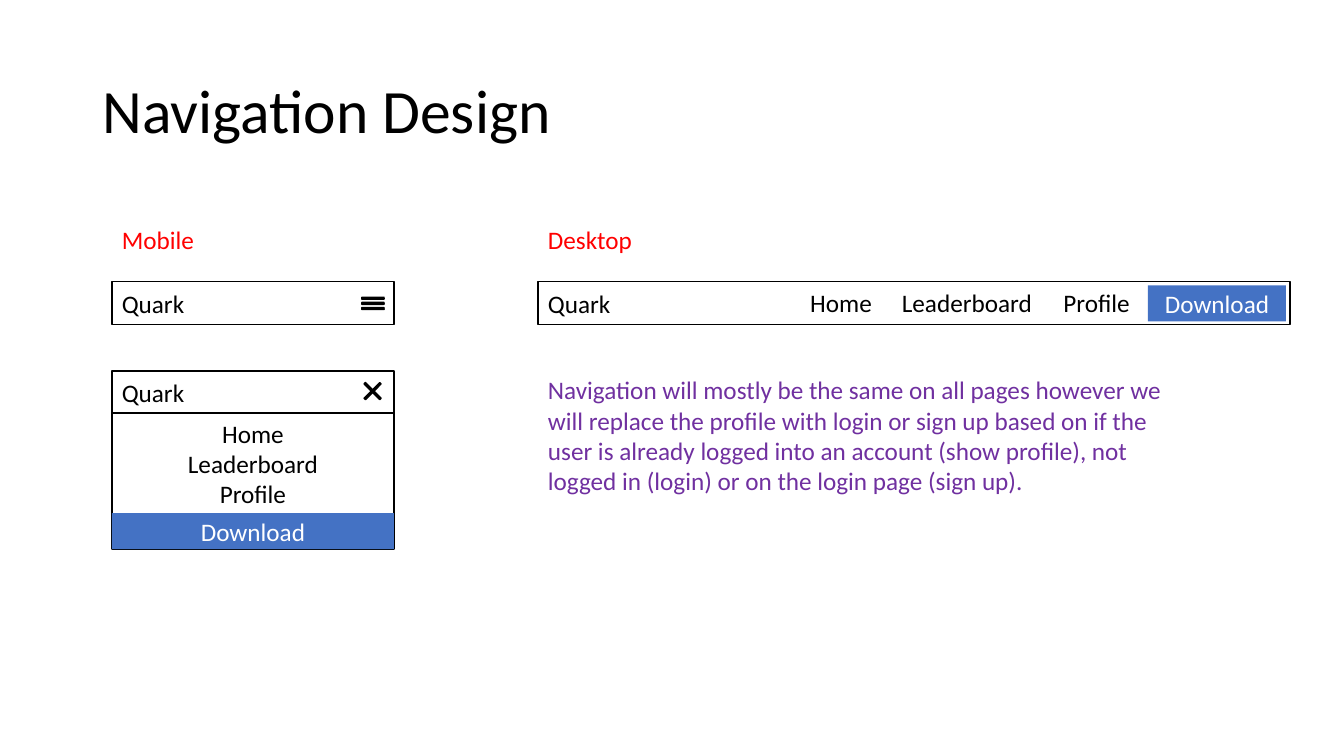
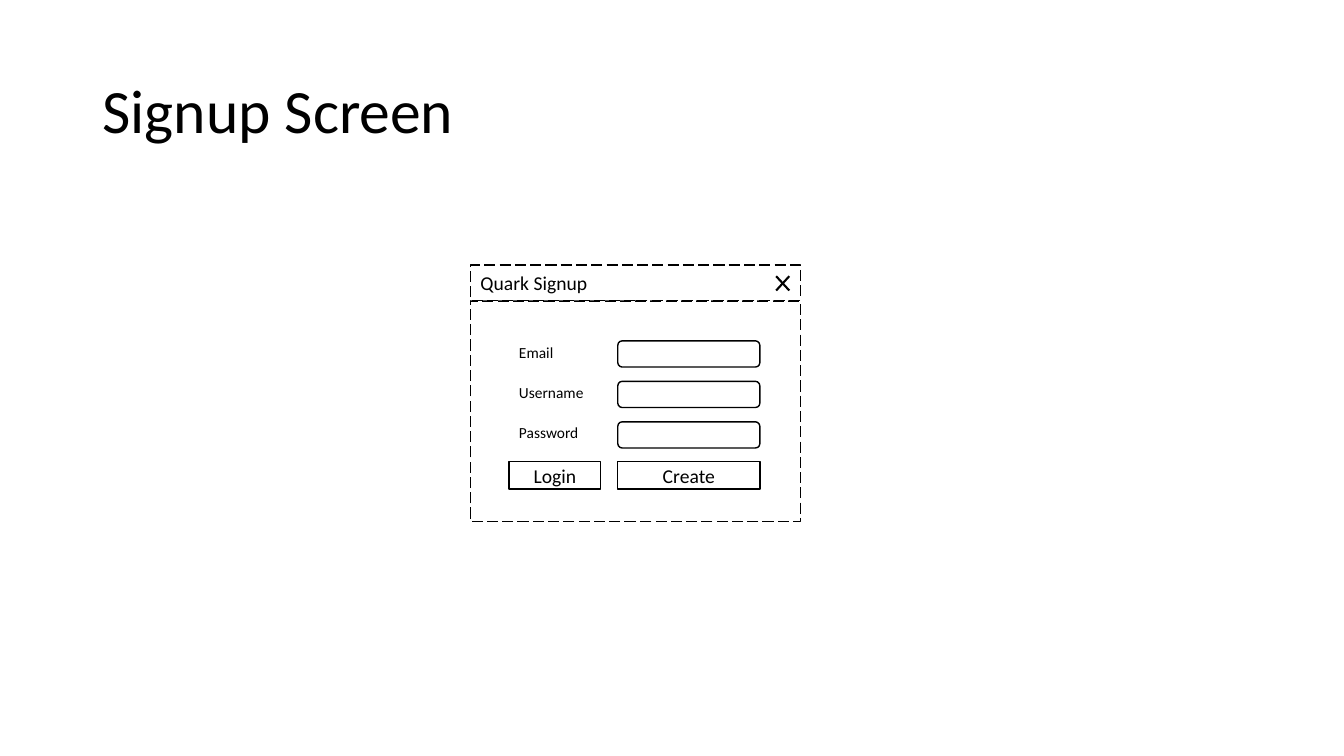
from lxml import etree
from pptx import Presentation
from pptx.dml.color import RGBColor
from pptx.enum.dml import MSO_LINE
from pptx.enum.shapes import MSO_CONNECTOR, MSO_SHAPE
from pptx.enum.text import MSO_ANCHOR, MSO_AUTO_SIZE, PP_ALIGN
from pptx.oxml.ns import qn
from pptx.util import Cm, Pt

# Shared style
BLACK = RGBColor(0x00, 0x00, 0x00)
WHITE = RGBColor(0xFF, 0xFF, 0xFF)
BLUE = RGBColor(0x44, 0x72, 0xC4)
RED = RGBColor(0xFF, 0x00, 0x00)
PURPLE = RGBColor(0x70, 0x30, 0xA0)
FONT = "Calibri"
RECT, ROUND = MSO_SHAPE.RECTANGLE, MSO_SHAPE.ROUNDED_RECTANGLE
LEFT, CENTER = PP_ALIGN.LEFT, PP_ALIGN.CENTER
TOP, MIDDLE = MSO_ANCHOR.TOP, MSO_ANCHOR.MIDDLE
LONG_DASH = MSO_LINE.LONG_DASH
STRAIGHT = MSO_CONNECTOR.STRAIGHT
FIT_SHAPE, NO_FIT = MSO_AUTO_SIZE.SHAPE_TO_FIT_TEXT, MSO_AUTO_SIZE.NONE
TITLE_ONLY = 5


class Wireframe:
    """Holds the deck, the current page and the group being drawn."""

    def __init__(self):
        self.deck = Presentation()
        self.deck.slide_width, self.deck.slide_height = Cm(33.87), Cm(19.05)

    def new_page(self, title):
        self.page = self.deck.slides.add_slide(self.deck.slide_layouts[TITLE_ONLY])
        self.layer = self.page.shapes
        box = self.page.shapes.title
        box.left, box.top, box.width, box.height = Cm(2.33), Cm(1.02), Cm(29.21), Cm(3.68)
        box.text_frame.auto_size = NO_FIT
        self.add_lines(box, [title], 44, BLACK, LEFT, MIDDLE)
        box.text_frame.paragraphs[0].line_spacing = 0.9

    def start_group(self):
        self.layer = self.page.shapes.add_group_shape().shapes

    def end_group(self):
        self.layer = self.page.shapes

    def add_lines(self, box, lines, size, color, align, anchor):
        frame = box.text_frame
        frame.vertical_anchor = anchor
        for number, line in enumerate(lines):
            para = frame.add_paragraph() if number else frame.paragraphs[0]
            para.alignment = align
            span = para.add_run()
            span.text = line
            span.font.name, span.font.size = FONT, Pt(size)
            span.font.color.rgb = color

    def label(self, text, left, top, width, height, size=18, color=BLACK, wrap=False):
        box = self.layer.add_textbox(Cm(left), Cm(top), Cm(width), Cm(height))
        box.text_frame.word_wrap = wrap
        box.text_frame.auto_size = FIT_SHAPE
        self.add_lines(box, [text], size, color, LEFT, TOP)

    def panel(self, left, top, width, height, lines=(), size=18, align=LEFT, anchor=MIDDLE,
              kind=RECT, fill=WHITE, line=BLACK, color=BLACK, dash=None):
        shape = self.layer.add_shape(kind, Cm(left), Cm(top), Cm(width), Cm(height))
        shape.shadow.inherit = False
        shape.fill.solid()
        shape.fill.fore_color.rgb = fill
        if line is None:
            shape.line.fill.background()
        else:
            shape.line.color.rgb = line
            shape.line.width = Pt(1)
            shape.line.dash_style = dash
        self.add_lines(shape, lines, size, color, align, anchor)
        return shape

    def download_button(self, left, top, width):
        self.panel(left, top, width, 0.91, ["Download"], align=CENTER,
                   fill=BLUE, line=None, color=WHITE)

    def icon_bar(self, left, top, rotation=0):
        bar = self.panel(left, top, 0.56, 0.05, kind=ROUND, fill=BLACK)
        bar.rotation = rotation

    def stroke(self, left, start, right, end):
        connector = self.layer.add_connector(STRAIGHT, Cm(left), Cm(start), Cm(right), Cm(end))
        connector.line.color.rgb = BLACK
        connector.line.width = Pt(1.5)
        etree.SubElement(connector.element.spPr, qn("a:effectLst"))


wire = Wireframe()

# Navigation design
MOBILE_LEFT, MOBILE_WIDTH, DESKTOP_LEFT = 2.82, 7.11, 13.56
BAR_TOP, MENU_TOP, BAR_HEIGHT = 7.09, 9.35, 1.09
wire.new_page("Navigation Design")

# Closed mobile menu with three-line icon
wire.start_group()
wire.panel(MOBILE_LEFT, BAR_TOP, MOBILE_WIDTH, BAR_HEIGHT, ["Quark"])
for row in range(3):
    wire.icon_bar(9.12, 7.49 + 0.13 * row)

# Desktop bar
wire.start_group()
wire.panel(DESKTOP_LEFT, BAR_TOP, 18.95, BAR_HEIGHT, ["Quark"])
link_left = 20.17
for link, link_width in (("Home", 2.08), ("Leaderboard", 3.84), ("Profile", 2.21)):
    wire.label(link, link_left, 7.11, link_width, 1.02)
    link_left += link_width + 0.23
wire.download_button(28.93, 7.19, 3.48)

# Open mobile menu with close icon
wire.start_group()
wire.panel(MOBILE_LEFT, MENU_TOP, MOBILE_WIDTH, BAR_HEIGHT, ["Quark"])
for angle in (45, 315):
    wire.icon_bar(9.11, 9.83, angle)
wire.panel(MOBILE_LEFT, 10.41, MOBILE_WIDTH, 3.43, ["Home", "Leaderboard", "Profile"],
           align=CENTER, anchor=TOP)
wire.download_button(MOBILE_LEFT, 12.93, MOBILE_WIDTH)
wire.end_group()

# Headings and note
wire.label("Mobile", MOBILE_LEFT, 5.54, 2.36, 1.02, color=RED)
wire.label("Desktop", DESKTOP_LEFT, 5.54, 2.64, 1.02, color=RED)
wire.label("Navigation will mostly be the same on all pages however we will replace the "
           "profile with login or sign up based on if the user is already logged into an "
           "account (show profile), not logged in (login) or on the login page (sign up).",
           DESKTOP_LEFT, 9.32, 16.03, 3.33, color=PURPLE, wrap=True)

# Signup screen
WINDOW_LEFT, WINDOW_WIDTH = 11.86, 8.31
LABEL_LEFT, LABEL_WIDTH = 12.83, 2.31
FIELD_LEFT, FIELD_WIDTH = 15.57, 3.58
wire.new_page("Signup Screen")

# Window with close icon
wire.start_group()
wire.panel(WINDOW_LEFT, 7.59, WINDOW_WIDTH, 5.56, dash=LONG_DASH)
wire.panel(WINDOW_LEFT, 6.68, WINDOW_WIDTH, 0.89, ["Quark Signup"], size=14, dash=LONG_DASH)
for start, end in ((6.96, 7.32), (7.32, 6.96)):
    wire.stroke(19.56, start, 19.89, end)

# Form fields and buttons
for row, field in enumerate(("Email", "Username", "Password")):
    field_top = 8.59 + 1.02 * row
    wire.label(field, LABEL_LEFT, field_top - 0.08, LABEL_WIDTH, 0.74, size=11, wrap=True)
    wire.panel(FIELD_LEFT, field_top, FIELD_WIDTH, 0.66, kind=ROUND)
for name, left, width in (("Login", LABEL_LEFT, LABEL_WIDTH), ("Create", FIELD_LEFT, FIELD_WIDTH)):
    wire.panel(left, 11.63, width, 0.69, [name], size=14, align=CENTER)

wire.deck.save("out.pptx")
